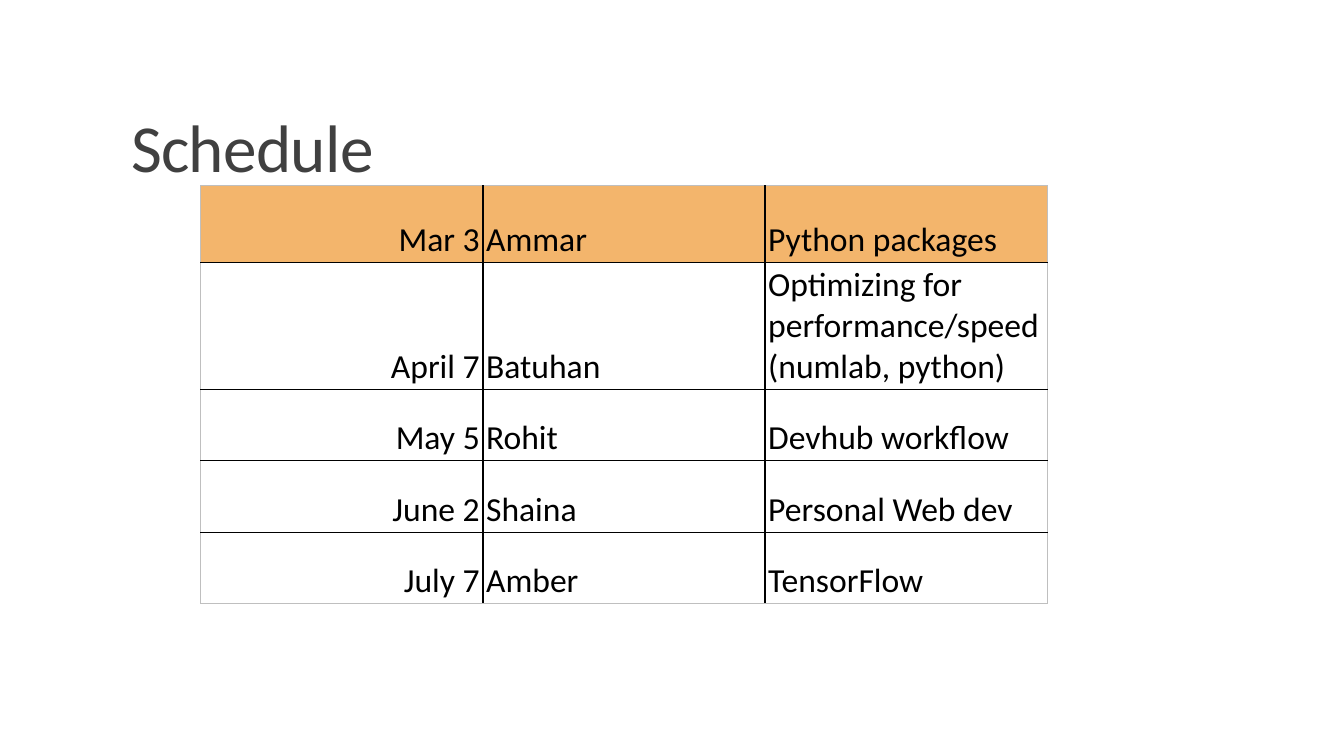
from lxml import etree
from pptx import Presentation
from pptx.dml.color import RGBColor
from pptx.enum.text import MSO_ANCHOR, MSO_AUTO_SIZE, PP_ALIGN
from pptx.oxml.ns import qn
from pptx.util import Cm, Pt

BOTTOM = MSO_ANCHOR.BOTTOM
NO_AUTOFIT = MSO_AUTO_SIZE.NONE
LEFT, RIGHT = PP_ALIGN.LEFT, PP_ALIGN.RIGHT

FONT = "Calibri"
TITLE_GREY = RGBColor(0x40, 0x40, 0x40)
BLACK = RGBColor(0x00, 0x00, 0x00)
EDGE_GREY = RGBColor(0xBF, 0xBF, 0xBF)
ORANGE = RGBColor(0xF3, 0xB5, 0x6C)

TITLE_ONLY = 5
COLUMN_WIDTH = Cm(7.11)
ROW_HEIGHTS = [Cm(1.93), Cm(3.2), Cm(1.8), Cm(1.8), Cm(1.8)]
SESSIONS = [
    ("Mar 3", "Ammar", "Python packages"),
    ("April 7", "Batuhan", "Optimizing for performance/speed (numlab, python)"),
    ("May 5", "Rohit", "Devhub workflow"),
    ("June 2", "Shaina", "Personal Web dev"),
    ("July 7", "Amber", "TensorFlow"),
]


def add_run(paragraph, text, size, color):
    run = paragraph.add_run()
    run.text = text
    run.font.name = FONT
    run.font.size = Pt(size)
    run.font.bold = False
    run.font.color.rgb = color
    return run


def add_title(slide, text):
    title = slide.shapes.title
    title.left, title.top = Cm(3.05), Cm(0.79)
    title.width, title.height = Cm(27.94), Cm(4.04)
    frame = title.text_frame
    frame.auto_size = NO_AUTOFIT
    frame.vertical_anchor = BOTTOM
    paragraph = frame.paragraphs[0]
    paragraph.alignment = LEFT
    paragraph.line_spacing = 0.85
    run = add_run(paragraph, text, 48, TITLE_GREY)
    run.font._element.set("spc", "-50")


def add_border(cell, side, color):
    properties = cell._tc.get_or_add_tcPr()
    line = etree.SubElement(properties, qn(f"a:ln{side}"), w=str(Pt(1)))
    fill = etree.SubElement(line, qn("a:solidFill"))
    etree.SubElement(fill, qn("a:srgbClr"), val=str(color))


def fill_cell(cell, text, alignment, background, outer_sides):
    cell.margin_left = cell.margin_right = Cm(0.08)
    cell.margin_top = cell.margin_bottom = Cm(0.05)
    cell.vertical_anchor = BOTTOM
    for side in "LRTB":
        add_border(cell, side, EDGE_GREY if side in outer_sides else BLACK)
    if background is None:
        cell.fill.background()
    else:
        cell.fill.solid()
        cell.fill.fore_color.rgb = background
    paragraph = cell.text_frame.paragraphs[0]
    paragraph.alignment = alignment
    add_run(paragraph, text, 24, BLACK)


def add_schedule(slide, sessions):
    row_count, column_count = len(sessions), len(sessions[0])
    schedule = slide.shapes.add_table(
        row_count, column_count, Cm(5.06), Cm(4.68),
        COLUMN_WIDTH * column_count, sum(ROW_HEIGHTS)).table
    schedule.first_row = False
    schedule.horz_banding = False
    for column in schedule.columns:
        column.width = COLUMN_WIDTH
    for row, height in zip(schedule.rows, ROW_HEIGHTS):
        row.height = height
    for r, session in enumerate(sessions):
        for c, text in enumerate(session):
            edges = {"L": c == 0, "R": c == column_count - 1,
                     "T": r == 0, "B": r == row_count - 1}
            outer_sides = [side for side, is_outer in edges.items() if is_outer]
            fill_cell(schedule.cell(r, c), text, RIGHT if c == 0 else LEFT,
                      ORANGE if r == 0 else None, outer_sides)


def main():
    presentation = Presentation()
    presentation.slide_width = Cm(33.87)
    presentation.slide_height = Cm(19.05)
    slide = presentation.slides.add_slide(presentation.slide_layouts[TITLE_ONLY])
    add_title(slide, "Schedule")
    add_schedule(slide, SESSIONS)
    presentation.save("out.pptx")


if __name__ == "__main__":
    main()
